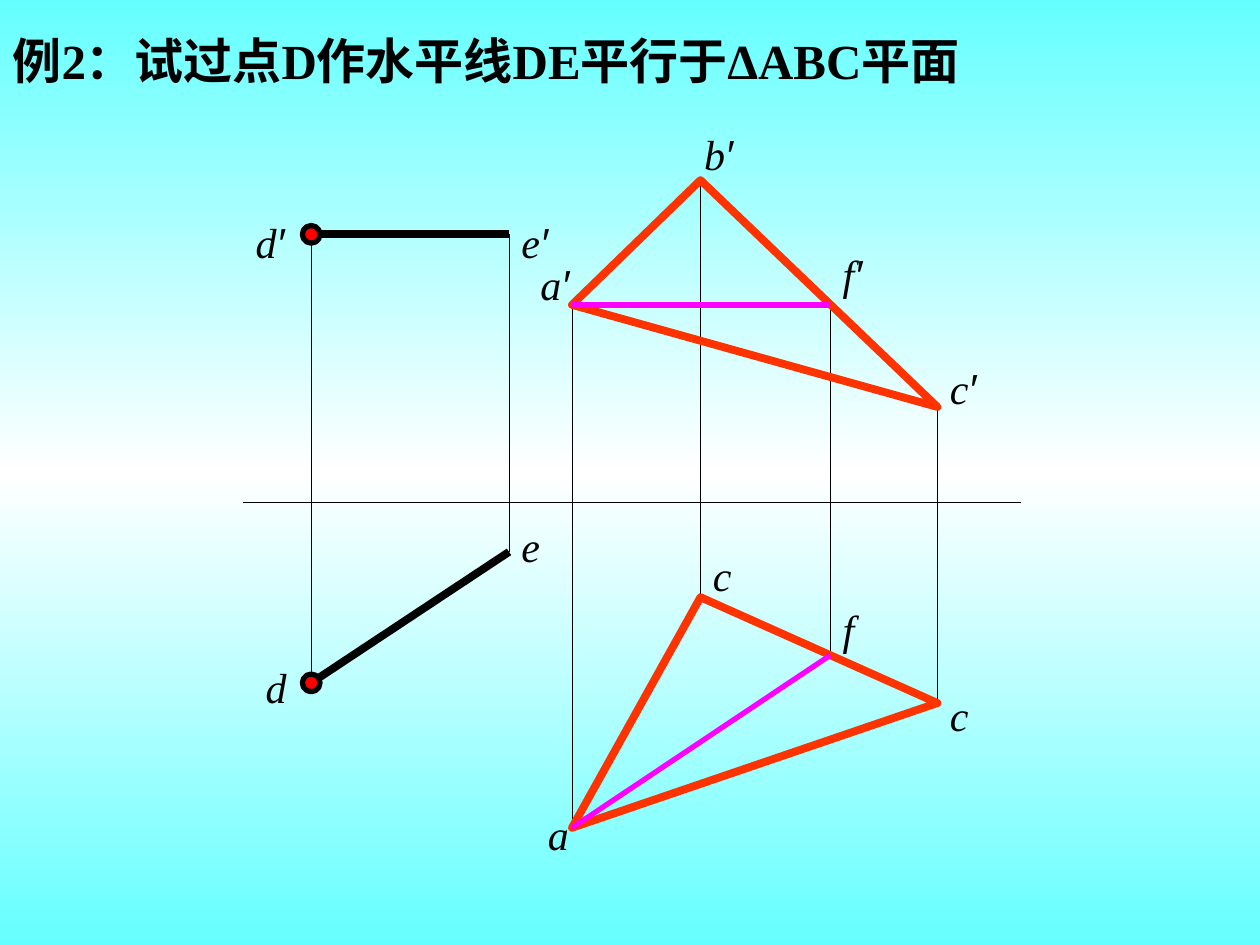
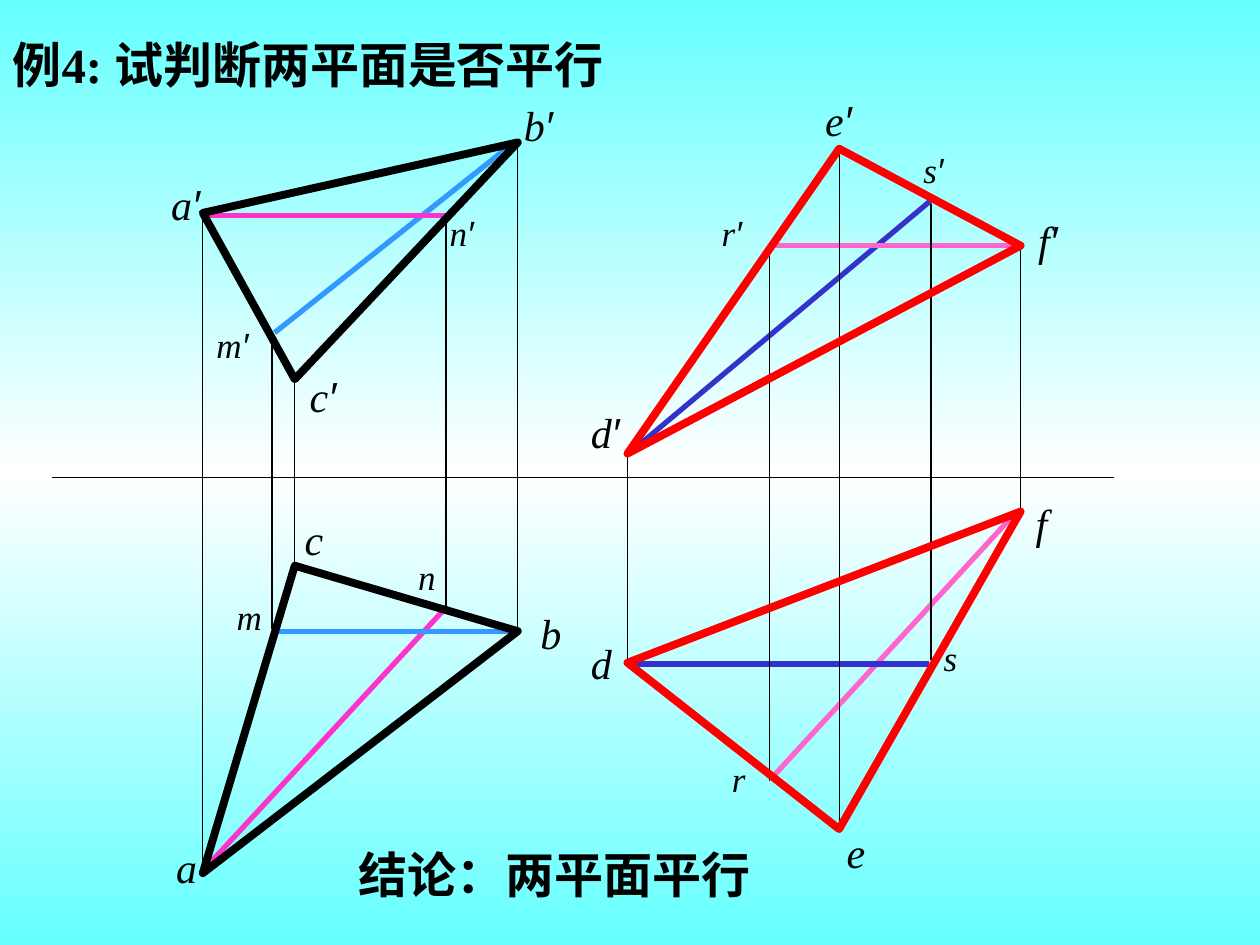
"""Build two descriptive-geometry slides on parallel lines and planes."""
from copy import deepcopy
from lxml import etree
from pptx import Presentation
from pptx import util as u
from pptx.dml.color import RGBColor
from pptx.enum import shapes, text
from pptx.oxml.ns import qn

deck = Presentation()
deck.slide_width, deck.slide_height = u.Inches(10), u.Inches(7.5)
CELL = deck.slide_width // 1000
LATIN, PRIME, HAN = "Times New Roman", "Arial", "Noto Sans CJK SC"
BLACK, RED, ORANGE = "000000", "FF0000", "FF3300"
MAGENTA, PINK, ROSE, SKY, NAVY = "FF00FF", "FF33CC", "FF66CC", "3399FF", "3333CC"
tint = RGBColor.from_string


def trace(slide, spots, hue, width):
    """Draw a straight line through two spots or a closed outline through more."""
    cells = [(x * CELL, y * CELL) for x, y in spots]
    if len(cells) == 2:
        mark = slide.shapes.add_connector(shapes.MSO_CONNECTOR.STRAIGHT, *cells[0], *cells[1])
        etree.SubElement(mark.element.spPr, qn("a:effectLst"))
    else:
        pen = slide.shapes.build_freeform(*cells[0])
        pen.add_line_segments(cells[1:], close=True)
        mark = pen.convert_to_shape()
        mark.shadow.inherit = False
        mark.fill.background()
    mark.line.color.rgb = tint(hue)
    line = mark.element.spPr.find(qn("a:ln"))
    line.set("w", str(int(u.Pt(width))))
    etree.SubElement(line, qn("a:round"))


def write(shape, words, box, size, face=LATIN, **look):
    """Place a text shape on the grid and fill it, with primes in their own font."""
    shape.left, shape.top, shape.width, shape.height = [n * CELL for n in box]
    frame = shape.text_frame
    for key, value in {"word_wrap": True, "auto_size": text.MSO_AUTO_SIZE.NONE,
                       "vertical_anchor": text.MSO_ANCHOR.TOP}.items():
        setattr(frame, key, value)
    para = frame.paragraphs[0]
    para.alignment = text.PP_ALIGN.LEFT
    head, prime, _ = words.partition("′")
    for part, latin, east in ((head, face, HAN), (prime, PRIME, PRIME)):
        if part:
            run = para.add_run()
            run.text = part
            for key, value in {"size": u.Pt(size), "name": latin, **look}.items():
                setattr(run.font, key, value)
            run.font.color.rgb = tint(BLACK)
            etree.SubElement(run.font._element, qn("a:ea"), typeface=east)


master = deck.slide_master
fill = master.background.fill
fill.gradient()
fill.gradient_angle = 270
stops = master.element.find(".//" + qn("a:gsLst"))
stops.insert(1, deepcopy(stops[0]))
for stop, place, hue in zip(fill.gradient_stops, (0, 0.5, 1), ("66FFFF", "FFFFFF", "66FFFF")):
    stop.position, stop.color.rgb = place, tint(hue)

# Points hold a column, a front-view row and a top-view row.
PAGES = [
    {
        "title": "例2：试过点D作水平线DE平行于ΔABC平面", "top": 19,
        "axis": (193, 810, 399),
        "points": {"a": (454, 242, 657), "b": (556, 143, 474), "c": (744, 323, 558),
                   "d": (247, 186, 542), "e": (404, 186, 438), "f": (659, 242, 520)},
        "planes": {"abc": ORANGE},
        "under": [],
        "over": [(MAGENTA, 3, (659, 520), (454, 657)), (MAGENTA, 3, (454, 242), (659, 242)),
                 (BLACK, 4.5, (247, 186), (404, 186)), (BLACK, 4.5, (404, 438), (247, 542))],
        "dots": "d", "widths": (47, 117),
        "labels": [("a′", 419, 200), ("b′", 549, 97), ("c′", 744, 283), ("d′", 193, 167),
                   ("e′", 404, 167), ("f′", 659, 192), ("a", 425, 637), ("c", 556, 431),
                   ("c", 744, 542), ("d", 201, 520), ("e", 404, 408), ("f", 659, 474)],
    },
    {
        "title": "例4: 试判断两平面是否平行", "top": 22,
        "axis": (42, 884, 379),
        "points": {"a": (161, 169, 693), "b": (411, 113, 501), "c": (234, 301, 449),
                   "d": (498, 360, 526), "e": (666, 118, 658), "f": (810, 195, 406),
                   "m": (216, 266, 499), "n": (354, 171, 484),
                   "r": (611, 195, 620), "s": (739, 162, 524)},
        "planes": {"abc": BLACK, "def": RED},
        "under": [(ROSE, 3, (612, 618), (806, 407)), (NAVY, 3, (739, 159), (499, 360)),
                  (PINK, 3, (163, 689), (355, 481)), (SKY, 3, (408, 113), (218, 264)),
                  (PINK, 3, (162, 171), (354, 171)), (SKY, 3, (219, 501), (411, 501)),
                  (ROSE, 3, (803, 195), (611, 195)), (NAVY, 3, (497, 527), (737, 527))],
        "over": [], "dots": "", "widths": (52, 52),
        "labels": [("a′", 126, 137), ("b′", 406, 74), ("c′", 236, 289), ("d′", 459, 318),
                   ("e′", 645, 70), ("f′", 814, 165), ("a", 130, 663), ("b", 419, 477),
                   ("c", 232, 403), ("d", 459, 501), ("e", 662, 651), ("f", 812, 390),
                   ("m′", 162, 252), ("n′", 347, 163), ("r′", 563, 163), ("s′", 723, 113),
                   ("m", 178, 468), ("n", 322, 436), ("r", 571, 596), ("s", 739, 500)],
        "result": "结论：两平面平行",
    },
]
MINOR = "mnrs"
DOT = 14

for page in PAGES:
    slide = deck.slides.add_slide(deck.slide_layouts[5])
    write(slide.shapes.title, page["title"], (0, page["top"], 1000, 75), 28, bold=True)
    points = page["points"]
    for hue, width, *ends in page["under"]:
        trace(slide, ends, hue, width)
    left, right, row = page["axis"]
    trace(slide, [(left, row), (right, row)], BLACK, 0)
    for name, (col, front, plan) in points.items():
        trace(slide, [(col, front), (col, plan)], BLACK, 0.75 if name in MINOR else 0)
    for names, hue in page["planes"].items():
        for view in (1, 2):
            trace(slide, [(points[n][0], points[n][view]) for n in names], hue, 4.5)
    for hue, width, *ends in page["over"]:
        trace(slide, ends, hue, width)
    for words, x, y in page["labels"]:
        small = words[0] in MINOR
        wide, high = (64, 44) if small else (page["widths"][len(words) - 1], 50)
        write(slide.shapes.add_textbox(0, 0, 0, 0), words, (x, y, wide, high),
              20 if small else 24, italic=True)
    for name in page["dots"]:
        col, *rows = points[name]
        for row in rows:
            dot = slide.shapes.add_shape(shapes.MSO_SHAPE.OVAL, (col - DOT // 2) * CELL,
                                         (row - DOT // 2) * CELL, DOT * CELL, DOT * CELL)
            dot.shadow.inherit = False
            dot.fill.solid()
            dot.fill.fore_color.rgb = tint(RED)
            dot.line.color.rgb = tint(BLACK)
            dot.line.width = u.Pt(3)
    if "result" in page:
        write(slide.shapes.add_textbox(0, 0, 0, 0), page["result"], (275, 665, 385, 57),
              28, HAN, bold=True)

deck.save("out.pptx")
